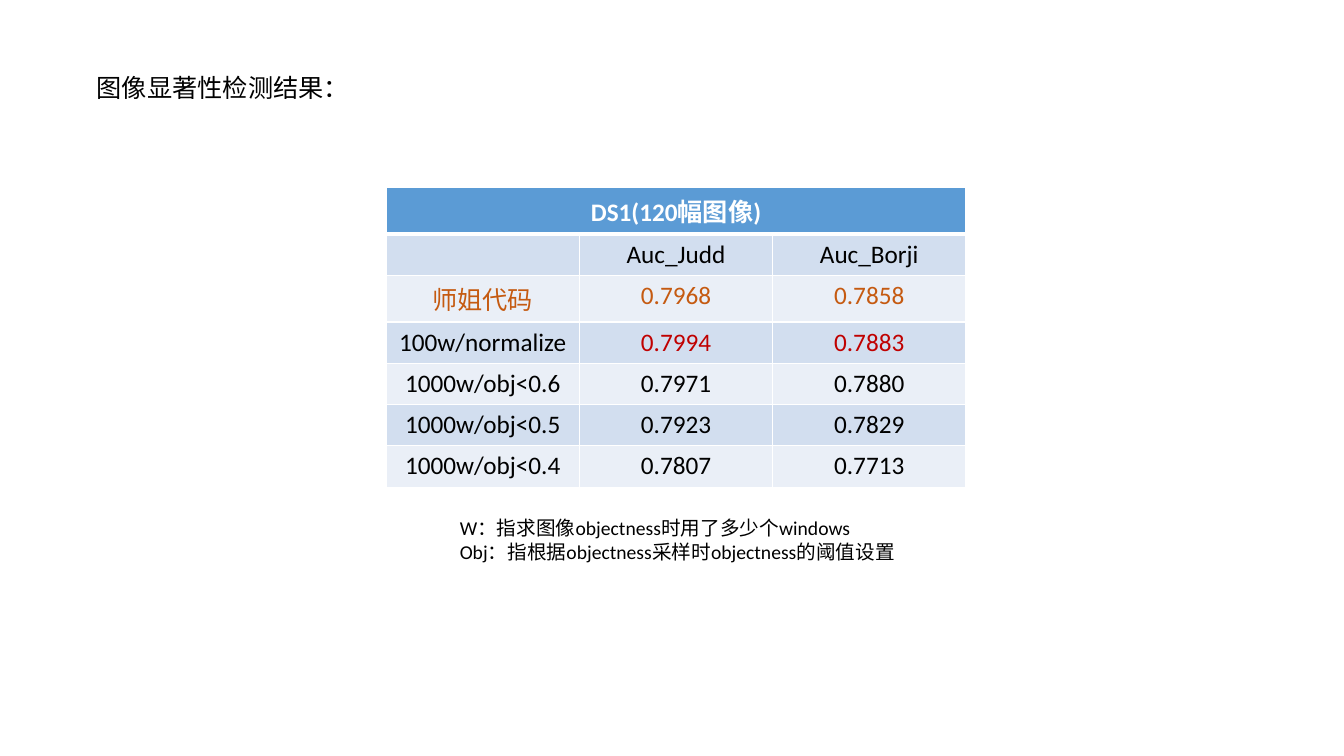
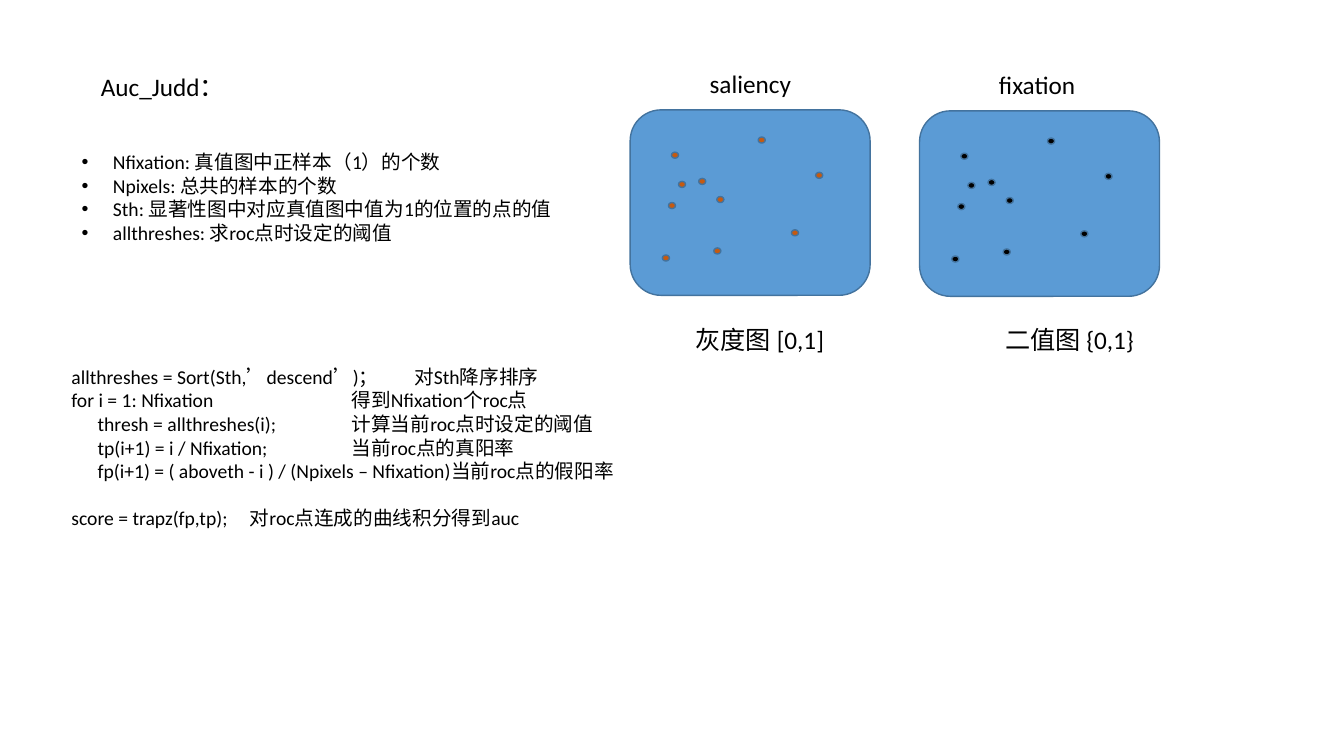
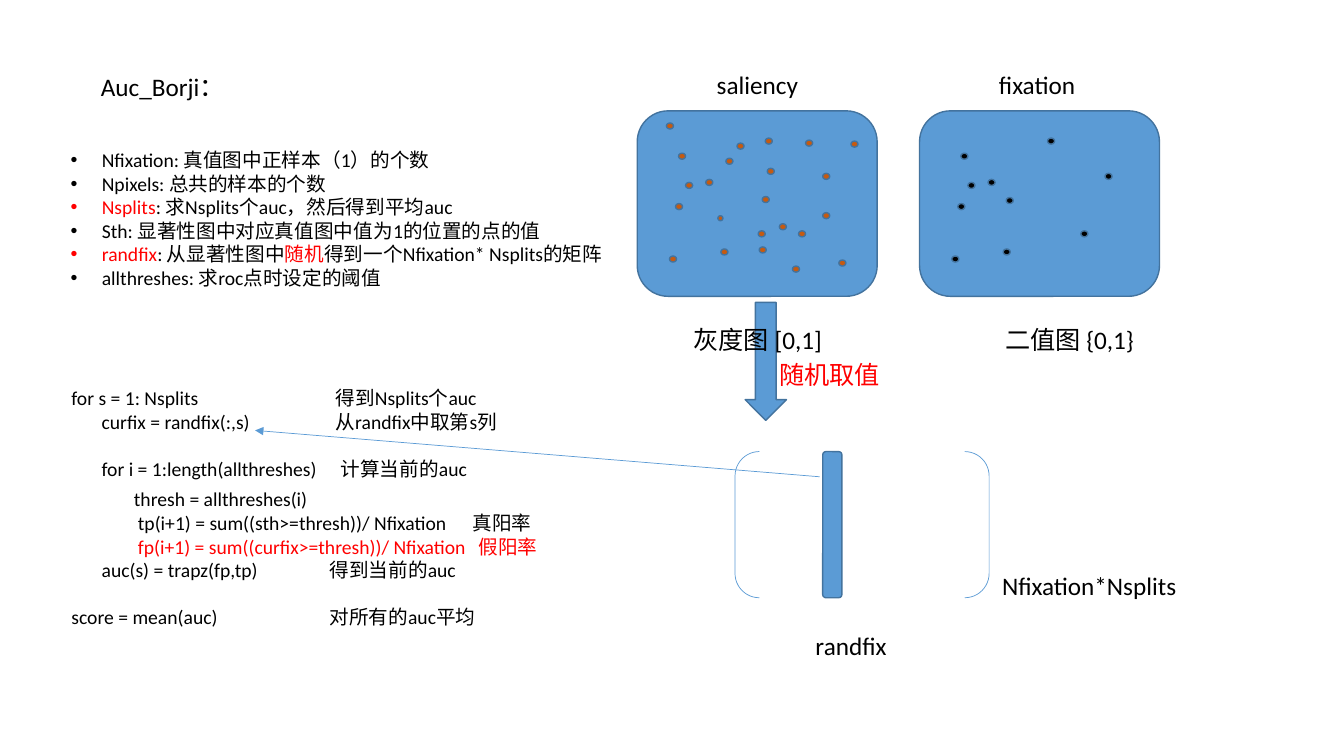
from dataclasses import dataclass

from lxml import etree
from pptx import Presentation
from pptx.dml.color import RGBColor
from pptx.enum.shapes import MSO_CONNECTOR, MSO_SHAPE
from pptx.enum.text import MSO_ANCHOR, MSO_AUTO_SIZE, PP_ALIGN
from pptx.oxml.ns import qn
from pptx.util import Inches, Pt

ROUNDED = MSO_SHAPE.ROUNDED_RECTANGLE
OVAL = MSO_SHAPE.OVAL
DOWN_ARROW = MSO_SHAPE.DOWN_ARROW
BRACKETS = MSO_SHAPE.DOUBLE_BRACKET
STRAIGHT = MSO_CONNECTOR.STRAIGHT
TOP = MSO_ANCHOR.TOP
NO_FIT = MSO_AUTO_SIZE.NONE
LEFT, CENTER = PP_ALIGN.LEFT, PP_ALIGN.CENTER

FONT = "Calibri"
LARGE, SMALL = 18, 14
BLANK_LINE = 17
COLORS = {
    "black": "000000",
    "white": "FFFFFF",
    "blue": "5B9BD5",
    "outline": "43739E",
    "orange": "C55A11",
    "dark_red": "C00000",
    "red": "FF0000",
    "band_dark": "D2DEEF",
    "band_light": "EAEFF7",
}


@dataclass(frozen=True)
class Box:
    left: float
    top: float
    width: float
    height: float


@dataclass(frozen=True)
class TextRun:
    text: str
    color: str = "black"


@dataclass(frozen=True)
class CodeLine:
    code: str
    comment: str = ""
    indent: float = 0
    stop: float = 0
    gap: float = 0
    color: str = "black"


@dataclass(frozen=True)
class Dot:
    left: float
    top: float
    width: float = 0.07
    height: float = 0.06


@dataclass(frozen=True)
class MapPanel:
    label: str
    left: float
    top: float
    dot_color: str
    dots: tuple[Dot, ...]


@dataclass(frozen=True)
class ResultRow:
    name: str
    judd: str
    borji: str
    name_color: str = "black"
    value_color: str = "black"


SHARED_DOTS = tuple(Dot(left, top) for left, top in (
    (0.41, 0.42), (1.84, 0.62), (1.27, 0.27), (0.38, 0.92), (0.83, 1.37),
    (1.6, 1.19), (0.32, 1.44), (0.68, 0.68), (0.48, 0.71)))
FIXATION_DOTS = SHARED_DOTS + (Dot(0.86, 0.86),)
RANDOM_DOTS = SHARED_DOTS + (Dot(0.8, 1.04, 0.05, 0.05),) + tuple(
    Dot(left, top) for left, top in (
        (1.41, 1.12), (1.29, 0.57), (1.21, 1.35), (1.84, 1.01), (2.0, 1.48),
        (0.99, 0.32), (1.67, 0.29), (1.54, 1.54), (1.24, 0.85), (0.88, 0.47),
        (1.2, 1.19), (2.12, 0.3), (0.29, 0.12)))
FIXATION_PANEL = MapPanel("fixation", 9.12, 1.1, "black", FIXATION_DOTS)

RESULTS = (
    ResultRow("", "Auc_Judd", "Auc_Borji"),
    ResultRow("师姐代码", "0.7968", "0.7858", "orange", "orange"),
    ResultRow("100w/normalize", "0.7994", "0.7883", value_color="dark_red"),
    ResultRow("1000w/obj<0.6", "0.7971", "0.7880"),
    ResultRow("1000w/obj<0.5", "0.7923", "0.7829"),
    ResultRow("1000w/obj<0.4", "0.7807", "0.7713"),
)
ROW_HEIGHTS = (0.36, 0.41, 0.36, 0.41, 0.41, 0.41, 0.41)

NOTES = (
    (TextRun("W：指求图像objectness时用了多少个windows"),),
    (TextRun("Obj：指根据objectness采样时objectness的阈值设置"),),
)
NFIXATION = (TextRun("Nfixation: 真值图中正样本（1）的个数"),)
NPIXELS = (TextRun("Npixels: 总共的样本的个数"),)
STH = (TextRun("Sth: 显著性图中对应真值图中值为1的位置的点的值"),)
ALLTHRESHES = (TextRun("allthreshes: 求roc点时设定的阈值"),)
NSPLITS = (TextRun("Nsplits", "red"), TextRun(": 求Nsplits个auc，然后得到平均auc"))
RANDFIX = (
    TextRun("randfix", "red"),
    TextRun(": 从显著性图中"),
    TextRun("随机", "red"),
    TextRun("得到一个Nfixation* Nsplits的矩阵"),
)

JUDD_CODE = (
    CodeLine("allthreshes = Sort(Sth,’descend’)；", "对Sth降序排序", stop=3.4),
    CodeLine("for i = 1: Nfixation", "得到Nfixation个roc点", stop=2.78),
    CodeLine("thresh = allthreshes(i);", "计算当前roc点时设定的阈值", 0.26, 2.78),
    CodeLine("tp(i+1) = i / Nfixation;", "当前roc点的真阳率", 0.26, 2.78),
    CodeLine("fp(i+1) = ( aboveth - i ) / (Npixels – Nfixation)当前roc点的假阳率",
             indent=0.26),
    CodeLine("score = trapz(fp,tp);", "对roc点连成的曲线积分得到auc",
             stop=1.77, gap=BLANK_LINE),
)
BORJI_CODE = (
    CodeLine("for s = 1: Nsplits", "得到Nsplits个auc", stop=2.62),
    CodeLine("curfix = randfix(:,s)", "从randfix中取第s列", 0.3, 2.62),
    CodeLine("for i = 1:length(allthreshes)", "计算当前的auc", 0.3, 2.67, BLANK_LINE),
    CodeLine("thresh = allthreshes(i)", indent=0.62, gap=5),
    CodeLine("tp(i+1) = sum((sth>=thresh))/ Nfixation", "真阳率", 0.66, 3.98),
    CodeLine("fp(i+1) = sum((curfix>=thresh))/ Nfixation", "假阳率", 0.66, 4.04,
             color="red"),
    CodeLine("auc(s) = trapz(fp,tp)", "得到当前的auc", 0.3, 2.56),
    CodeLine("score = mean(auc)", "对所有的auc平均", stop=2.56, gap=BLANK_LINE),
)


def rgb(name: str) -> RGBColor:
    return RGBColor.from_string(COLORS[name])


def inches(box: Box) -> tuple:
    return Inches(box.left), Inches(box.top), Inches(box.width), Inches(box.height)


def add_run(paragraph, text_run: TextRun, size: float, bold: bool = False) -> None:
    run = paragraph.add_run()
    run.text = text_run.text
    run.font.name = FONT
    run.font.size = Pt(size)
    run.font.bold = bold
    run.font.color.rgb = rgb(text_run.color)


def next_paragraph(frame, index: int):
    return frame.add_paragraph() if index else frame.paragraphs[0]


def place(placeholder, box: Box):
    placeholder.left, placeholder.top, placeholder.width, placeholder.height = inches(box)
    frame = placeholder.text_frame
    frame.word_wrap = True
    frame.auto_size = NO_FIT
    frame.vertical_anchor = TOP
    return frame


def add_titled_slide(presentation, title: str, left: float = 0.9, top: float = 0.66):
    slide = presentation.slides.add_slide(presentation.slide_layouts[1])
    frame = place(slide.shapes.title, Box(left, top, 4.19, 0.4))
    paragraph = frame.paragraphs[0]
    paragraph.alignment = LEFT
    add_run(paragraph, TextRun(title), LARGE)
    return slide


def fill_body(slide, box: Box, items: tuple, bulleted: bool = True) -> None:
    frame = place(slide.placeholders[1], box)
    for index, runs in enumerate(items):
        paragraph = next_paragraph(frame, index)
        paragraph.space_before = Pt(0)
        properties = paragraph._p.get_or_add_pPr()
        indent = Inches(0.31) if bulleted else 0
        properties.set("marL", str(indent))
        properties.set("indent", str(-indent))
        if not bulleted:
            etree.SubElement(properties, qn("a:buNone"))
        for text_run in runs:
            add_run(paragraph, text_run, SMALL)


def add_text_frame(slide, box: Box):
    frame = slide.shapes.add_textbox(*inches(box)).text_frame
    frame.word_wrap = True
    return frame


def add_label(slide, text: str, box: Box, color: str = "black") -> None:
    add_run(add_text_frame(slide, box).paragraphs[0], TextRun(text, color), LARGE)


def add_code(slide, box: Box, lines: tuple[CodeLine, ...]) -> None:
    frame = add_text_frame(slide, box)
    for index, line in enumerate(lines):
        paragraph = next_paragraph(frame, index)
        paragraph.space_before = Pt(line.gap)
        stops = [stop for stop in (line.indent, line.stop) if stop]
        if stops:
            tabs = etree.SubElement(paragraph._p.get_or_add_pPr(), qn("a:tabLst"))
            for stop in stops:
                etree.SubElement(tabs, qn("a:tab"), pos=str(Inches(stop)), algn="l")
        code = "\t" + line.code if line.indent else line.code
        add_run(paragraph, TextRun(code, line.color), SMALL)
        if line.comment:
            add_run(paragraph, TextRun("\t" + line.comment, line.color), SMALL)


def add_solid(slide, kind, box: Box, fill: str = "blue") -> None:
    shape = slide.shapes.add_shape(kind, *inches(box))
    shape.shadow.inherit = False
    shape.fill.solid()
    shape.fill.fore_color.rgb = rgb(fill)
    shape.line.color.rgb = rgb("outline")
    shape.line.width = Pt(1)


def add_map_panel(slide, panel: MapPanel) -> None:
    add_solid(slide, ROUNDED, Box(panel.left, panel.top, 2.38, 1.84))
    add_label(slide, panel.label, Box(panel.left + 0.69, panel.top - 0.46, 1.3, 0.4))
    for dot in panel.dots:
        box = Box(panel.left + dot.left, panel.top + dot.top, dot.width, dot.height)
        add_solid(slide, OVAL, box, panel.dot_color)


def add_map_captions(slide, gray_left: float) -> None:
    for caption, left in (("二值图 {0,1}", 9.87), ("灰度图 [0,1]", gray_left)):
        add_label(slide, caption, Box(left, 3.17, 1.63, 0.4))


def add_brackets(slide, box: Box) -> None:
    shape = slide.shapes.add_shape(BRACKETS, *inches(box))
    shape.shadow.inherit = False
    shape.fill.background()
    shape.line.color.rgb = rgb("blue")
    shape.line.width = Pt(0.5)


def add_arrow(slide, start: tuple[float, float], end: tuple[float, float]) -> None:
    points = [Inches(value) for value in start + end]
    connector = slide.shapes.add_connector(STRAIGHT, *points)
    connector.line.color.rgb = rgb("blue")
    connector.line.width = Pt(0.5)
    etree.SubElement(connector.line._get_or_add_ln(), qn("a:tailEnd"), type="triangle")
    etree.SubElement(connector._element.spPr, qn("a:effectLst"))


def style_cell(cell, fill: str, bottom_width: float = 1) -> None:
    properties = cell._tc.get_or_add_tcPr()
    for side, width in (("L", 1), ("R", 1), ("T", 1), ("B", bottom_width)):
        border = etree.SubElement(properties, qn(f"a:ln{side}"), w=str(Pt(width)))
        solid = etree.SubElement(border, qn("a:solidFill"))
        etree.SubElement(solid, qn("a:srgbClr"), val=COLORS["white"])
    cell.fill.solid()
    cell.fill.fore_color.rgb = rgb(fill)


def write_cell(cell, text_run: TextRun, bold: bool = False) -> None:
    paragraph = cell.text_frame.paragraphs[0]
    paragraph.alignment = CENTER
    if text_run.text:
        add_run(paragraph, text_run, LARGE, bold)


def add_results_table(slide, box: Box) -> None:
    table = slide.shapes.add_table(len(ROW_HEIGHTS), 3, *inches(box)).table
    for column in table.columns:
        column.width = Inches(box.width / 3)
    for row, height in zip(table.rows, ROW_HEIGHTS):
        row.height = Inches(height)
    for cell in table.rows[0].cells:
        style_cell(cell, "blue", 3)
    table.cell(0, 0).merge(table.cell(0, 2))
    write_cell(table.cell(0, 0), TextRun("DS1(120幅图像)", "white"), True)
    for row_index, result in enumerate(RESULTS, start=1):
        fill = "band_dark" if row_index % 2 else "band_light"
        runs = (
            TextRun(result.name, result.name_color),
            TextRun(result.judd, result.value_color),
            TextRun(result.borji, result.value_color),
        )
        for column_index, text_run in enumerate(runs):
            cell = table.cell(row_index, column_index)
            style_cell(cell, fill)
            write_cell(cell, text_run)


def build_results_slide(presentation) -> None:
    slide = add_titled_slide(presentation, "图像显著性检测结果：", 0.86, 0.67)
    add_results_table(slide, Box(3.83, 1.86, 5.75, 2.83))
    fill_body(slide, Box(4.46, 5.07, 8.14, 0.57), NOTES, bulleted=False)


def build_judd_slide(presentation) -> None:
    slide = add_titled_slide(presentation, "Auc_Judd：")
    add_map_panel(slide, FIXATION_PANEL)
    add_map_panel(slide, MapPanel("saliency", 6.25, 1.09, "orange", FIXATION_DOTS))
    fill_body(slide, Box(0.71, 1.44, 5.3, 1.04), (NFIXATION, NPIXELS, STH, ALLTHRESHES))
    add_map_captions(slide, 6.8)
    add_code(slide, Box(0.61, 3.57, 6, 2.29), JUDD_CODE)


def build_borji_slide(presentation) -> None:
    slide = add_titled_slide(presentation, "Auc_Borji：")
    add_solid(slide, DOWN_ARROW, Box(7.39, 3, 0.41, 1.17))
    add_map_panel(slide, FIXATION_PANEL)
    add_map_panel(slide, MapPanel("saliency", 6.32, 1.1, "orange", RANDOM_DOTS))
    add_map_captions(slide, 6.78)
    fill_body(slide, Box(0.6, 1.42, 5.51, 1.51),
              (NFIXATION, NPIXELS, NSPLITS, STH, RANDFIX, ALLTHRESHES))
    add_brackets(slide, Box(7.29, 4.48, 2.52, 1.45))
    add_label(slide, "randfix", Box(7.99, 6.2, 1.03, 0.4))
    add_label(slide, "Nfixation*Nsplits", Box(9.84, 5.61, 2.24, 0.5))
    add_solid(slide, ROUNDED, Box(8.16, 4.48, 0.19, 1.45))
    add_code(slide, Box(0.61, 3.78, 5.73, 2.52), BORJI_CODE)
    add_arrow(slide, (8.13, 4.73), (2.53, 4.27))
    add_label(slide, "随机取值", Box(7.63, 3.52, 1.3, 0.4), "red")


def main() -> None:
    presentation = Presentation()
    presentation.slide_width = Inches(13.33)
    presentation.slide_height = Inches(7.5)
    build_results_slide(presentation)
    build_judd_slide(presentation)
    build_borji_slide(presentation)
    presentation.save("out.pptx")


if __name__ == "__main__":
    main()
